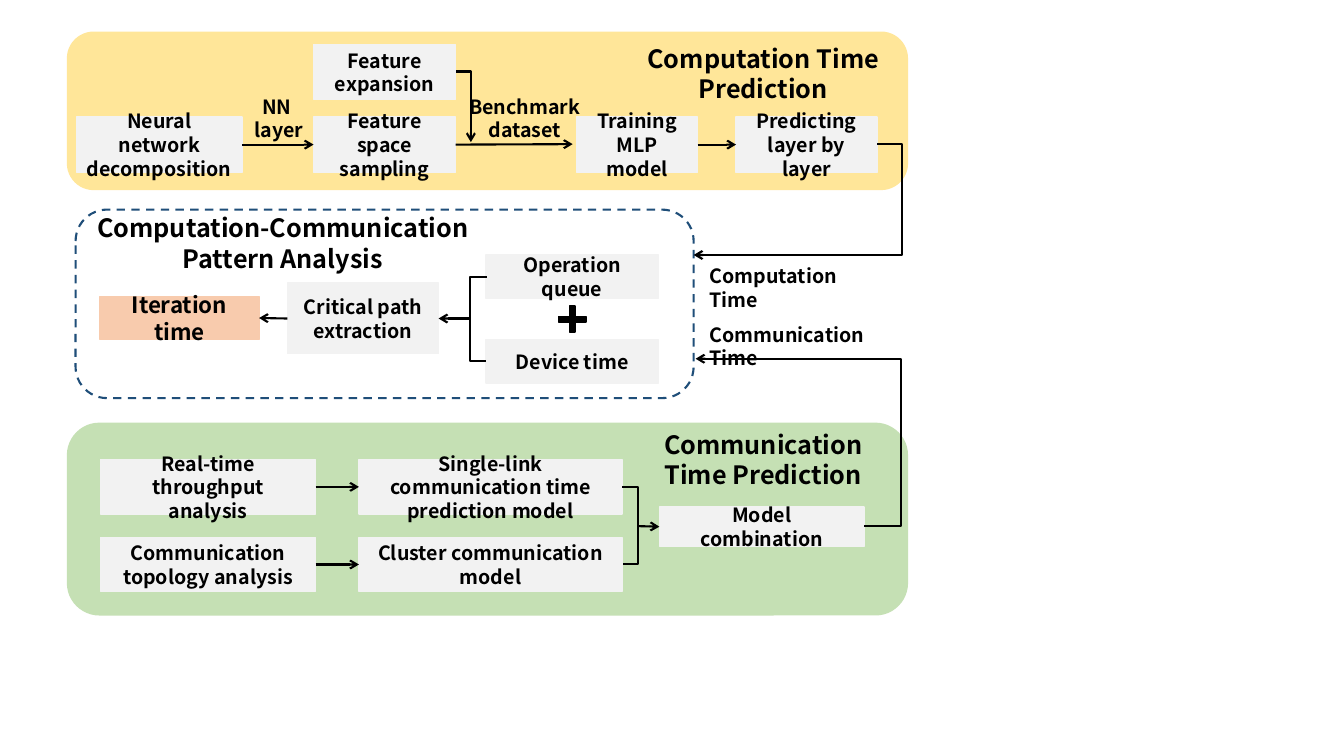
import pptx
import pptx.dml.color
import pptx.enum.dml
import pptx.enum.shapes
import pptx.enum.text
import pptx.oxml.ns
import pptx.util
from lxml import etree

Inches = pptx.util.Inches
Pt = pptx.util.Pt
RGBColor = pptx.dml.color.RGBColor
SHAPE = pptx.enum.shapes.MSO_SHAPE
CONNECTOR = pptx.enum.shapes.MSO_CONNECTOR
ALIGN = pptx.enum.text.PP_ALIGN
qn = pptx.oxml.ns.qn

BLACK = RGBColor(0x00, 0x00, 0x00)
GREY = RGBColor(0xF2, 0xF2, 0xF2)
ORANGE = RGBColor(0xF8, 0xCB, 0xAD)
YELLOW = RGBColor(0xFF, 0xE6, 0x99)
GREEN = RGBColor(0xC5, 0xE0, 0xB4)
NAVY = RGBColor(0x1F, 0x4E, 0x79)

LEFT_SIDE, RIGHT_SIDE = 1, 3


class Diagram:
    font = "Noto Sans CJK SC"
    label_size = 14
    heading_size = 18

    def __init__(self, page):
        self.page = page
        self.shapes = page.shapes

    def start_group(self):
        self.shapes = self.page.shapes.add_group_shape().shapes

    def end_group(self):
        self.shapes = self.page.shapes

    def shape(self, kind, place, color):
        shape = self.shapes.add_shape(kind, *map(Inches, place))
        shape.shadow.inherit = False
        shape.fill.solid()
        shape.fill.fore_color.rgb = color
        shape.line.color.rgb = color
        shape.line.width = Pt(1)
        return shape

    def dashed_panel(self, place):
        panel = self.shape(SHAPE.ROUNDED_RECTANGLE, place, NAVY)
        panel.fill.background()
        panel.line.width = Pt(1.5)
        panel.line.dash_style = pptx.enum.dml.MSO_LINE.DASH

    def add_lines(self, frame, lines, size, align):
        frame.word_wrap = True
        for number, line in enumerate(lines):
            para = frame.paragraphs[0] if number == 0 else frame.add_paragraph()
            para.alignment = align
            span = para.add_run()
            span.text = line
            span.font.name = self.font
            span.font.size = Pt(size)
            span.font.bold = True
            span.font.color.rgb = BLACK

    def step(self, place, *lines, color=GREY, size=label_size):
        box = self.shape(SHAPE.RECTANGLE, place, color)
        box.text_frame.vertical_anchor = pptx.enum.text.MSO_ANCHOR.MIDDLE
        self.add_lines(box.text_frame, lines, size, ALIGN.CENTER)
        return box

    def text(self, place, *lines, size=label_size, align=ALIGN.CENTER):
        box = self.shapes.add_textbox(*map(Inches, place))
        self.add_lines(box.text_frame, lines, size, align)

    def heading(self, place, line):
        self.text(place, line, size=self.heading_size)

    def connector(self, kind, start, end, arrow):
        line = self.shapes.add_connector(kind, *map(Inches, start + end))
        line.line.color.rgb = BLACK
        line.line.width = Pt(1.5)
        properties = line._element.spPr
        if arrow:
            outline = properties.find(qn("a:ln"))
            etree.SubElement(outline, qn("a:tailEnd"), type="arrow")
        etree.SubElement(properties, qn("a:effectLst"))
        return line

    def arrow(self, start, end, sides=(RIGHT_SIDE, LEFT_SIDE)):
        """Draw a straight arrow; each end is a box or an (x, y) point."""
        ends = [item if isinstance(item, tuple) else (0, 0) for item in (start, end)]
        line = self.connector(CONNECTOR.STRAIGHT, *ends, True)
        if not isinstance(start, tuple):
            line.begin_connect(start, sides[0])
        if not isinstance(end, tuple):
            line.end_connect(end, sides[1])

    def elbow(self, start, end, bend=None, arrow=True):
        """Draw a line turning at x = bend, or with a single corner if bend is None."""
        line = self.connector(CONNECTOR.ELBOW, start, end, arrow)
        geometry = line._element.spPr.find(qn("a:prstGeom"))
        if bend is None:
            geometry.set("prst", "bentConnector2")
            return
        share = round((bend - start[0]) / (end[0] - start[0]) * 100000)
        guides = geometry.find(qn("a:avLst"))
        etree.SubElement(guides, qn("a:gd"), name="adj1", fmla=f"val {share}")


def draw_computation(art):
    top, height = 1.16, 0.55
    middle = 1.43
    art.start_group()
    art.shape(SHAPE.ROUNDED_RECTANGLE, (0.67, 0.32, 8.33, 1.56), YELLOW)
    art.heading((6.32, 0.38, 2.5, 0.71), "Computation Time Prediction")
    network = art.step((0.76, top, 1.64, height), "Neural network decomposition")
    sampling = art.step((3.11, top, 1.41, height), "Feature space sampling")
    training = art.step((5.72, top, 1.2, height), "Training", "MLP model")
    predicting = art.step((7.3, top, 1.4, height), "Predicting", "layer by layer")
    art.arrow(network, sampling)
    art.arrow(sampling, (5.68, middle))
    art.arrow(training, predicting)
    art.text((2.2, 0.89, 1.09, 0.57), "NN", " layer")
    art.text((4.53, 0.89, 1.35, 0.57), "Benchmark dataset")
    art.elbow((4.52, 0.71), (4.67, 1.41))
    art.step((3.11, 0.44, 1.41, height), "Feature expansion")
    art.end_group()


def draw_communication(art):
    rows = (
        (4.56, "Real-time throughput analysis", "Single-link communication time prediction model"),
        (5.33, "Communication topology analysis", "Cluster communication model"),
    )
    art.start_group()
    art.shape(SHAPE.ROUNDED_RECTANGLE, (0.67, 4.2, 8.33, 1.9), GREEN)
    art.heading((6.18, 4.21, 2.78, 0.71), "Communication Time Prediction")
    for top, analysis, model in rows:
        art.arrow(art.step((1, top, 2.13, 0.54), analysis),
                  art.step((3.56, top, 2.61, 0.54), model))
    combination = art.step((6.54, 5.03, 2.03, 0.39), "Model combination")
    art.elbow((6.17, 4.83), (6.18, 5.6), bend=6.33, arrow=False)
    art.arrow((6.33, 5.22), combination)
    art.end_group()


def draw_pattern_analysis(art):
    leftward = (LEFT_SIDE, RIGHT_SIDE)
    art.dashed_panel((0.75, 2.08, 6.13, 1.87))
    art.heading((0.69, 2.06, 4.23, 0.71), "Computation-Communication Pattern Analysis")
    critical = art.step((2.85, 2.81, 1.5, 0.7), "Critical path extraction")
    iteration = art.step((0.99, 2.94, 1.58, 0.43), "Iteration time", color=ORANGE, size=16)
    art.arrow(critical, iteration, leftward)
    art.text((6.94, 2.57, 1.86, 0.57), "Computation Time", align=ALIGN.LEFT)
    art.text((6.94, 3.15, 2.11, 0.57), "Communication Time", align=ALIGN.LEFT)
    art.step((4.82, 2.53, 1.71, 0.43), "Operation queue")
    art.step((4.82, 3.37, 1.71, 0.43), "Device time")
    art.elbow((4.83, 2.75), (4.82, 3.58), bend=4.66, arrow=False)
    art.arrow((4.65, 3.16), critical, leftward)
    plus = art.shape(SHAPE.MATH_PLUS, (5.49, 2.99, 0.37, 0.35), BLACK)
    plus.adjustments[0] = 0.16


def main():
    deck = pptx.Presentation()
    deck.slide_width, deck.slide_height = Inches(13.33), Inches(7.5)
    art = Diagram(deck.slides.add_slide(deck.slide_layouts[6]))
    draw_pattern_analysis(art)
    draw_computation(art)
    draw_communication(art)
    art.elbow((8.7, 1.43), (6.88, 2.53), bend=8.95)
    art.elbow((8.57, 5.22), (6.9, 3.56), bend=8.94)
    deck.save("out.pptx")


if __name__ == "__main__":
    main()
